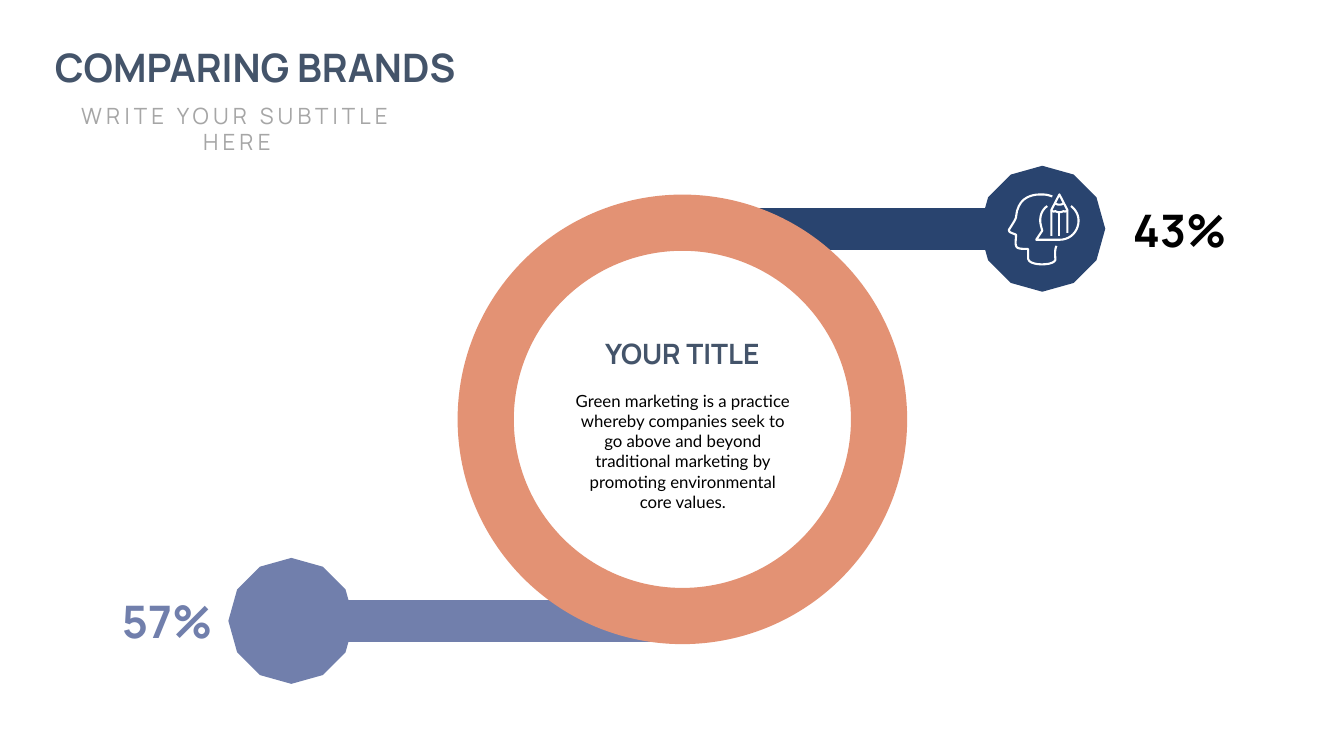
from pptx import Presentation
from pptx.dml.color import RGBColor
from pptx.enum.shapes import MSO_CONNECTOR, MSO_SHAPE
from pptx.enum.text import MSO_ANCHOR, MSO_AUTO_SIZE, PP_ALIGN
from pptx.oxml.ns import qn
from pptx.util import Pt
from lxml.etree import SubElement

SLATE = RGBColor(0x44, 0x54, 0x6A)
GREY = RGBColor(0xA6, 0xA6, 0xA6)
PERIWINKLE = RGBColor(0x71, 0x7F, 0xAC)
NAVY = RGBColor(0x29, 0x44, 0x6F)
CORAL = RGBColor(0xE3, 0x92, 0x74)
BLACK = RGBColor(0, 0, 0)
WHITE = RGBColor(0xFF, 0xFF, 0xFF)

ICON_UNIT = 0.72
CURVE_STEPS = 10

HEAD = [(44, 3), [(39, 1), (35, 1), (33, 1)], [(26, 1), (10, 2), (8, 23)],
        [(8, 25), (6, 28), (1, 36)], [(0.5, 39), (4, 39), (8, 41)],
        [(8, 45), (7, 49), (8, 52)], [(9, 55), (13, 55), (18, 55)],
        [(20, 55), (20, 55), (20, 57)], [(20, 65)],
        [(21, 72), (45, 72), (47, 66)], [(47, 62), (46, 57), (48, 52)]]
BUBBLE = [(39, 12.5), [(34, 16), (32, 21), (32, 27)], [(32, 30), (33, 33), (34, 37)],
          [(28, 46)], [(51, 46)], [(62, 46), (70, 37.5), (70, 27)],
          [(70, 21), (67, 16), (62.5, 12.5)]]
PENCIL = [(43, 42), [(43, 16.5)], [(51, 1)], [(59, 16.5)], [(59, 39)]]
PENCIL_CORE = [(51, 42), [(51, 19)]]
PENCIL_EDGE = [(43, 16.5), [(44.5, 18.5), (46, 18), (47, 17.5)],
               [(49, 19), (53, 19), (55, 17.5)], [(56, 18), (57.5, 18.5), (59, 16.5)]]
PENCIL_TIP = [(47, 10), [(49, 11.5), (53, 11.5), (55, 10)]]


def write_text(shape, text, size, color, font="Manrope", bold=True, spacing=0,
               wrap=False, anchor=MSO_ANCHOR.MIDDLE, margins=(7.2, 3.6)):
    frame = shape.text_frame
    frame.auto_size = MSO_AUTO_SIZE.NONE
    frame.word_wrap = wrap
    frame.vertical_anchor = anchor
    frame.margin_left = frame.margin_right = Pt(margins[0])
    frame.margin_top = frame.margin_bottom = Pt(margins[1])
    paragraph = frame.paragraphs[0]
    paragraph.alignment = PP_ALIGN.CENTER
    run = paragraph.add_run()
    run.text = text
    run.font.name = font
    run.font.size = Pt(size)
    run.font.bold = bold
    run.font.color.rgb = color
    if spacing:
        run.font._element.set("spc", str(spacing * 100))


def trace(stroke):
    points = [stroke[0]]
    for segment in stroke[1:]:
        if len(segment) == 1:
            points.append(segment[0])
            continue
        controls = [points[-1], *segment]
        for step in range(1, CURVE_STEPS + 1):
            t = step / CURVE_STEPS
            weights = ((1 - t) ** 3, 3 * t * (1 - t) ** 2, 3 * t * t * (1 - t), t ** 3)
            points.append(tuple(sum(weight * control[axis]
                                    for weight, control in zip(weights, controls))
                                for axis in (0, 1)))
    return points


class SlideBuilder:
    def __init__(self, presentation):
        self.slide = presentation.slides.add_slide(presentation.slide_layouts[5])
        self.shapes = self.slide.shapes

    def title(self, text, left, top, width, height, **style):
        shape = self.shapes.title
        shape.left, shape.top = Pt(left), Pt(top)
        shape.width, shape.height = Pt(width), Pt(height)
        write_text(shape, text, **style)

    def text(self, text, left, top, width, height, **style):
        shape = self.shapes.add_textbox(Pt(left), Pt(top), Pt(width), Pt(height))
        write_text(shape, text, **style)

    def bar(self, start_x, end_x, y, color, oval_end):
        connector = self.shapes.add_connector(
            MSO_CONNECTOR.STRAIGHT, Pt(start_x), Pt(y), Pt(end_x), Pt(y))
        connector.line.color.rgb = color
        connector.line.width = Pt(30)
        SubElement(connector.line._get_or_add_ln(), qn(f"a:{oval_end}"), type="oval")
        SubElement(connector._element.spPr, qn("a:effectLst"))

    def ring(self, left, top, size, color):
        shape = self.shapes.add_shape(MSO_SHAPE.DONUT, Pt(left), Pt(top), Pt(size), Pt(size))
        shape.adjustments[0] = 0.125
        shape.shadow.inherit = False
        shape.fill.solid()
        shape.fill.fore_color.rgb = color
        shape.line.fill.background()

    def icon(self, strokes, left, top, color):
        builder = None
        for stroke in strokes:
            points = [(Pt(left + x * ICON_UNIT), Pt(top + y * ICON_UNIT))
                      for x, y in trace(stroke)]
            if builder is None:
                builder = self.shapes.build_freeform(*points[0])
            else:
                builder.move_to(*points[0])
            builder.add_line_segments(points[1:], close=False)
        shape = builder.convert_to_shape()
        shape.shadow.inherit = False
        shape.fill.background()
        shape.line.color.rgb = color
        shape.line.width = Pt(1.5)


def main():
    presentation = Presentation()
    presentation.slide_width, presentation.slide_height = Pt(960), Pt(540)
    builder = SlideBuilder(presentation)
    builder.title("COMPARING BRANDS", 24.5, 27.4, 315.4, 41,
                  size=28, color=SLATE, anchor=MSO_ANCHOR.TOP)
    builder.text("WRITE YOUR SUBTITLE HERE", 24.5, 69.1, 289.4, 26.6, size=16, color=GREY,
                 bold=False, spacing=3, wrap=True, anchor=MSO_ANCHOR.TOP)
    builder.bar(208.1, 470.2, 443.5, PERIWINKLE, "headEnd")
    builder.bar(487.4, 744.5, 163.4, NAVY, "tailEnd")
    builder.icon([HEAD, BUBBLE, PENCIL, PENCIL_CORE, PENCIL_EDGE, PENCIL_TIP],
                 720, 138.2, WHITE)
    builder.text("57%", 79.2, 420.5, 80.6, 46, size=32, color=PERIWINKLE)
    builder.text("43%", 800.6, 141.1, 84.2, 46, size=32, color=BLACK)
    builder.text("Green marketing is a practice whereby companies seek to go above and beyond "
                 "traditional marketing by promoting environmental core values.",
                 393.1, 270, 189.4, 104.4, size=12, color=BLACK, font="Lato",
                 bold=False, wrap=True, margins=(17.3, 8.6))
    builder.text("YOUR TITLE", 413.3, 234, 148.3, 36.7, size=20, color=SLATE, wrap=True)
    builder.ring(326.9, 139, 321.1, CORAL)
    presentation.save("out.pptx")


if __name__ == "__main__":
    main()
